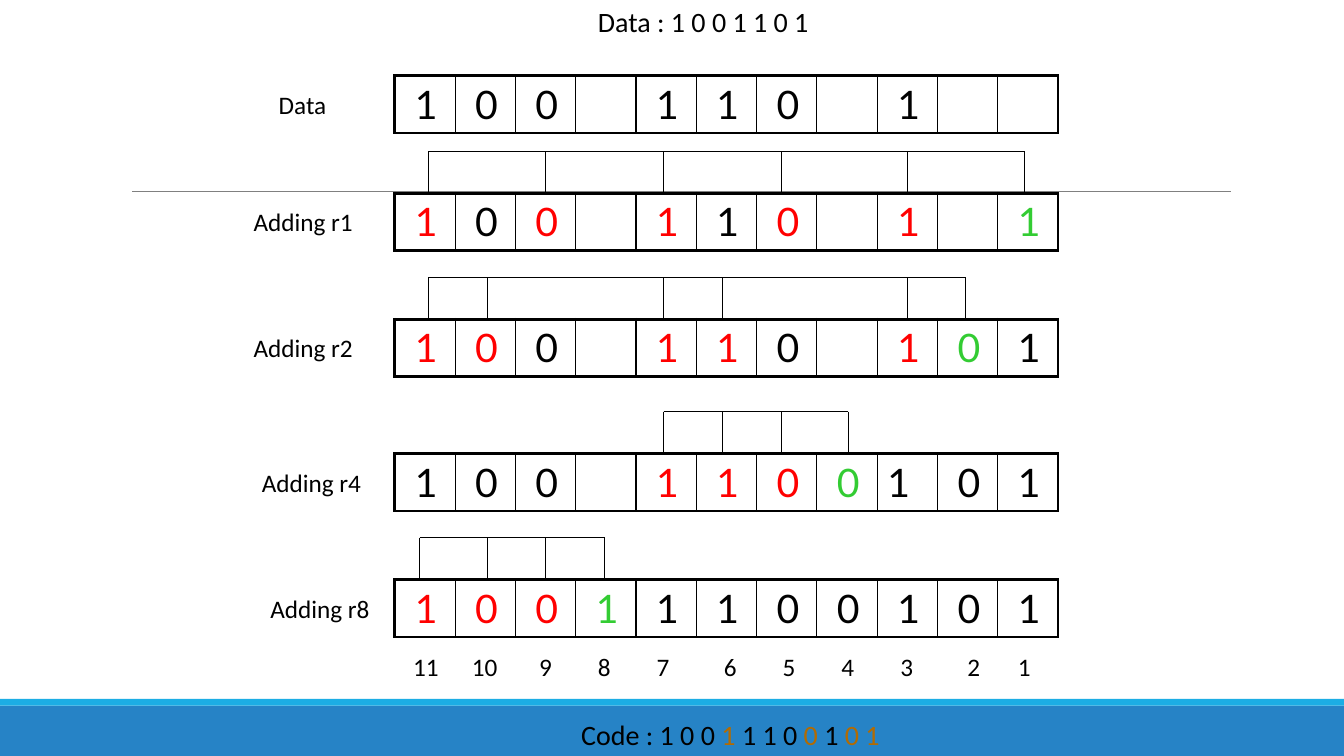
"""Build a slide that shows how the parity bits of a Hamming code are added."""
from dataclasses import dataclass

from lxml.etree import SubElement
from pptx import Presentation
from pptx.dml.color import RGBColor
from pptx.enum.shapes import MSO_CONNECTOR as Connector, MSO_SHAPE as Shape
from pptx.oxml.ns import qn
from pptx.util import Inches, Pt


@dataclass(frozen=True)
class Theme:
    ink: str = "000000"
    checked: str = "FF0000"
    parity: str = "33CC33"
    code: str = "B26B02"
    band: str = "2683C6"
    stripe: str = "1CADE4"
    rule: str = "808080"
    body_font: str = "Calibri"
    bit_font: str = "Lato"
    title_size: int = 20
    label_size: int = 18
    bit_size: int = 28
    thick: float = 2.25
    thin: float = 1


THEME = Theme()
GRID_COLUMNS, GRID_ROWS = 160, 90
BITS = 11
TITLE = "Data : 1 0 0 1 1 0 1"
CODE_LABEL, CODE = "Code : ", "1 0 0 1 1 1 0 0 1 0 1"
REGISTERS = [
    ("Data", 0, 32, 9, " 1, 0, 0,, 1, 1, 0,, 1,,"),
    ("Adding r1", 1, 29, 23, " 1, 0, 0,, 1, 1, 0,, 1,, 1"),
    ("Adding r2", 2, 29, 38, " 1, 0, 0,, 1, 1, 0,, 1, 0, 1"),
    ("Adding r4", 4, 30, 54, " 1, 0, 0,, 1, 1, 0, 0,1, 0, 1"),
    ("Adding r8", 8, 31, 69, " 1, 0, 0, 1, 1, 1, 0, 0, 1, 0, 1"),
]
DROP_COLUMNS = {11: 51, 10: 58, 9: 65, 8: 72, 7: 79, 6: 86, 5: 93, 4: 101, 3: 108, 2: 115, 1: 122}
NUMBER_COLUMNS = {11: 48, 10: 55, 9: 63, 8: 70, 7: 77, 6: 85, 5: 92, 4: 99, 3: 106, 2: 114, 1: 120}
TABLE_LEFT, TABLE_WIDTH, TABLE_HEIGHT = 47, 79, 6.84
RAIL_RISE = 5
NUMBER_ROW = 77

deck = Presentation()
deck.slide_width, deck.slide_height = Inches(13.33), Inches(7.5)
page = deck.slides.add_slide(deck.slide_layouts[6])


def across(columns):
    return round(deck.slide_width * columns / GRID_COLUMNS)


def down(rows):
    return round(deck.slide_height * rows / GRID_ROWS)


def add_span(para, text, color=THEME.ink, size=THEME.label_size, font=THEME.body_font):
    span = para.add_run()
    span.text = text
    span.font.name, span.font.size = font, Pt(size)
    span.font.color.rgb = RGBColor.from_string(color)


def add_text(text, left, top, width, height=4.8, wrap=True, **style):
    box = page.shapes.add_textbox(across(left), down(top), across(width), down(height))
    box.text_frame.word_wrap = wrap
    para = box.text_frame.paragraphs[0]
    add_span(para, text, **style)
    return para


def add_band(top, height, color):
    band = page.shapes.add_shape(Shape.RECTANGLE, 0, down(top), deck.slide_width, down(height))
    band.shadow.inherit = False
    band.fill.solid()
    band.fill.fore_color.rgb = RGBColor.from_string(color)
    band.line.fill.background()


def add_line(start, end, color=THEME.ink, width=0.75):
    line = page.shapes.add_connector(
        Connector.STRAIGHT, across(start[0]), down(start[1]), across(end[0]), down(end[1]))
    line.line.color.rgb = RGBColor.from_string(color)
    line.line.width = Pt(width)
    SubElement(line._element.spPr, qn("a:effectLst"))


def set_borders(cell, **widths):
    properties = cell._tc.get_or_add_tcPr()
    for side, width in widths.items():
        edge = SubElement(properties, qn(f"a:ln{side}"), w=str(Pt(width)))
        SubElement(SubElement(edge, qn("a:solidFill")), qn("a:srgbClr"), val=THEME.ink)


def bit_color(position, parity):
    if not position & parity:
        return THEME.ink
    return THEME.parity if position == parity else THEME.checked


def add_register(bits, parity, top):
    table = page.shapes.add_table(
        1, BITS, across(TABLE_LEFT), down(top), across(TABLE_WIDTH), down(TABLE_HEIGHT)).table
    table.first_row = table.horz_banding = False
    for index, bit in enumerate(bits.split(",")):
        cell = table.cell(0, index)
        table.columns[index].width = across(TABLE_WIDTH / BITS)
        set_borders(cell, L=THEME.thin if index else THEME.thick,
                    R=THEME.thin if index < BITS - 1 else THEME.thick,
                    T=THEME.thick, B=THEME.thick)
        cell.fill.background()
        if bit:
            add_span(cell.text_frame.paragraphs[0], bit, color=bit_color(BITS - index, parity),
                     size=THEME.bit_size, font=THEME.bit_font)


def add_bracket(parity, top):
    drops = [column for position, column in DROP_COLUMNS.items() if position & parity]
    if parity == 8:
        drops[0] -= 1
    rail = top - RAIL_RISE
    add_line((drops[0], rail), (drops[-1], rail))
    for column in drops:
        add_line((column, rail), (column, top))


def main():
    add_band(84, 6, THEME.band)
    add_band(83.2, 0.8, THEME.stripe)
    add_line((15.75, 22.8), (146.5, 22.8), color=THEME.rule, width=0.5)
    add_text(TITLE, 70, 0, 36, 5.2, size=THEME.title_size)
    for label, parity, left, top, bits in REGISTERS:
        add_register(bits, parity, top)
        add_text(label, left, top + 1, 18 if parity else 12)
        if parity:
            add_bracket(parity, top)
    for position, column in NUMBER_COLUMNS.items():
        add_text(str(position), column, NUMBER_ROW, 5.8 if position > 9 else 4.1, wrap=False)
    para = add_text(CODE_LABEL, 68, 84.8, 44, 5.2, size=THEME.title_size)
    for index, bit in enumerate(CODE.split()):
        is_parity = BITS - index in (1, 2, 4, 8)
        add_span(para, bit if index == BITS - 1 else bit + " ",
                 color=THEME.code if is_parity else THEME.ink, size=THEME.title_size)
    deck.save("out.pptx")


if __name__ == "__main__":
    main()
